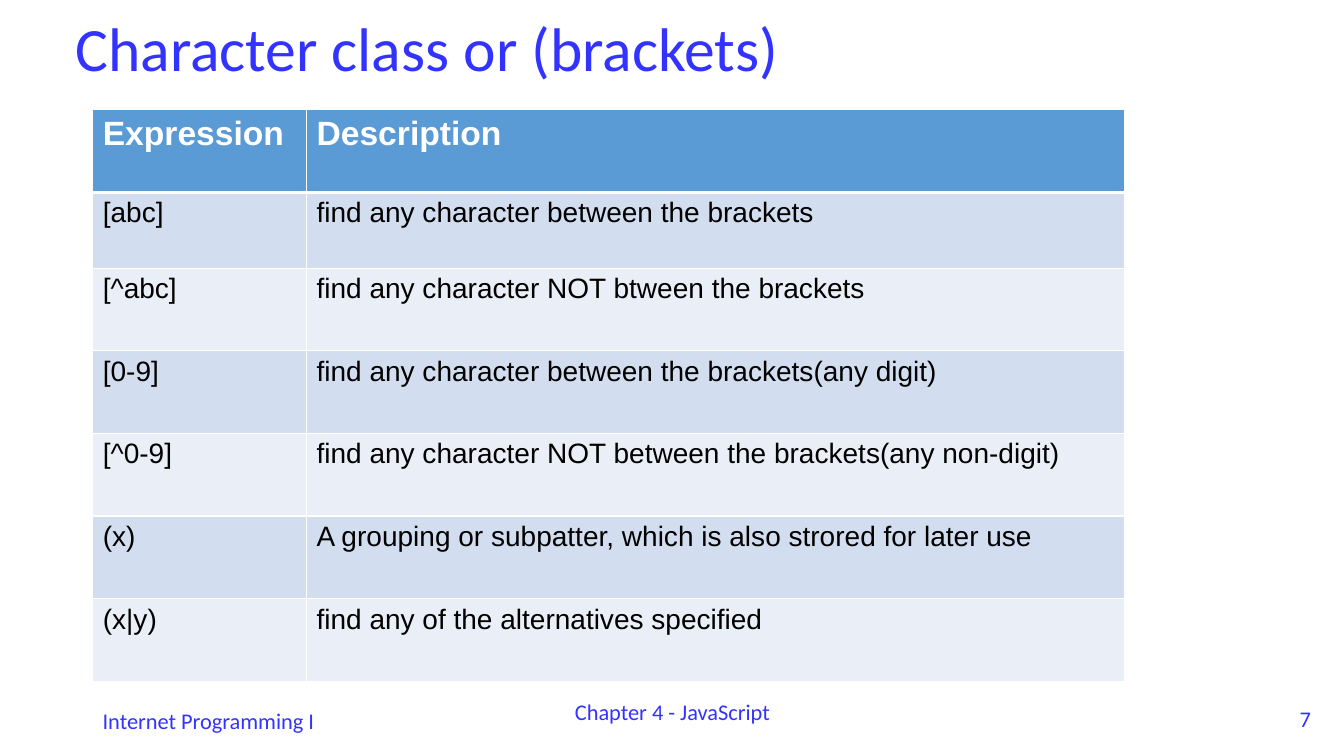
from lxml.etree import SubElement
from pptx import Presentation
from pptx.dml.color import RGBColor
from pptx.enum.text import MSO_ANCHOR, PP_ALIGN
from pptx.oxml.ns import qn
from pptx.util import Inches, Pt

ROWS = [
    ("Expression", "Description"),
    ("[abc]", "find any character between the brackets"),
    ("[^abc]", "find any character NOT btween the brackets"),
    ("[0-9]", "find any character between the brackets(any digit)"),
    ("[^0-9]", "find any character NOT between the brackets(any non-digit)"),
    ("(x)", "A grouping or subpatter, which is also strored for later use"),
    ("(x|y)", "find any of the alternatives specified"),
]
COLUMN_WIDTHS = [2.12, 8.11]
ROW_HEIGHTS = [0.82, 0.75] + [0.82] * 5


def color(hex_value):
    return RGBColor.from_string(hex_value)


class SlideBuilder:
    heading_font, table_font = "Calibri", "Arial"
    accent, white, black = "3333FF", "FFFFFF", "000000"
    header_fill, band_fills = "5B9BD5", ("EAEFF7", "D2DEEF")

    def __init__(self, slide):
        self.slide = slide

    def add_run(self, paragraph, text, size, font, hex_value, bold=False):
        run = paragraph.add_run()
        run.text = text
        run.font.size = Pt(size)
        run.font.name = font
        run.font.bold = bold
        run.font.color.rgb = color(hex_value)

    def add_text(self, text, left, top, width, height, size=16,
                 align=PP_ALIGN.LEFT, line_spacing=1.0):
        box = self.slide.shapes.add_textbox(
            Inches(left), Inches(top), Inches(width), Inches(height))
        frame = box.text_frame
        frame.word_wrap = True
        frame.vertical_anchor = MSO_ANCHOR.MIDDLE
        paragraph = frame.paragraphs[0]
        paragraph.alignment = align
        paragraph.line_spacing = line_spacing
        self.add_run(paragraph, text, size, self.heading_font, self.accent)

    def set_border(self, cell, side, width):
        properties = cell._tc.get_or_add_tcPr()
        line = SubElement(properties, qn(f"a:ln{side}"), w=str(Pt(width)))
        fill = SubElement(line, qn("a:solidFill"))
        SubElement(fill, qn("a:srgbClr"), val=self.white)

    def style_cell(self, cell, text, row_index):
        header = row_index == 0
        # The rule under the header is heavier than the rest of the grid
        widths = {"L": 1, "R": 1, "T": 3 if row_index == 1 else 1,
                  "B": 3 if header else 1}
        for side, width in widths.items():
            self.set_border(cell, side, width)
        cell.fill.solid()
        cell.fill.fore_color.rgb = color(
            self.header_fill if header else self.band_fills[row_index % 2])
        self.add_run(cell.text_frame.paragraphs[0], text,
                     24 if header else 20, self.table_font,
                     self.white if header else self.black, header)

    def add_table(self, rows, left, top, column_widths, row_heights):
        table = self.slide.shapes.add_table(
            len(rows), len(column_widths), Inches(left), Inches(top),
            Inches(sum(column_widths)), Inches(sum(row_heights))).table
        for column, width in zip(table.columns, column_widths):
            column.width = Inches(width)
        for row_index, (row, height) in enumerate(zip(table.rows, row_heights)):
            row.height = Inches(height)
            for cell, text in zip(row.cells, rows[row_index]):
                self.style_cell(cell, text, row_index)


presentation = Presentation()
presentation.slide_width = Inches(13.33)
presentation.slide_height = Inches(7.5)
builder = SlideBuilder(presentation.slides.add_slide(presentation.slide_layouts[6]))

# Title
builder.add_text("Character class or (brackets)", 0.65, -0.21, 11.5, 1.45,
                 size=44, line_spacing=0.9)

# Table of expressions
builder.add_table(ROWS, 0.92, 1.09, COLUMN_WIDTHS, ROW_HEIGHTS)

# Footer
builder.add_text("Internet Programming I", 0.92, 6.95, 3, 0.4)
builder.add_text("Chapter 4 - JavaScript", 4.42, 6.76, 4.5, 0.6,
                 align=PP_ALIGN.CENTER)
builder.add_text("7", 12.15, 6.95, 0.95, 0.35, align=PP_ALIGN.RIGHT)

presentation.save("out.pptx")
